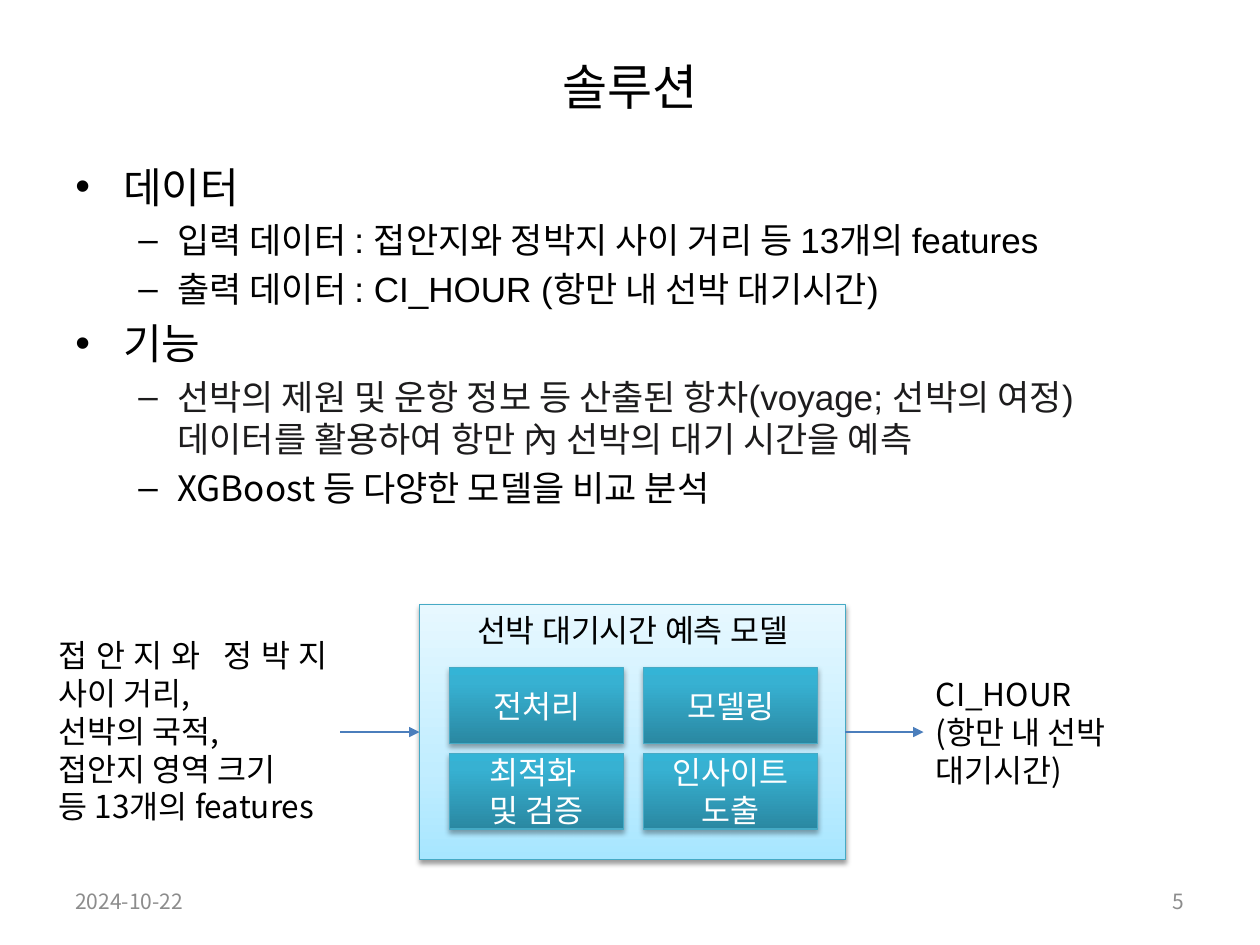
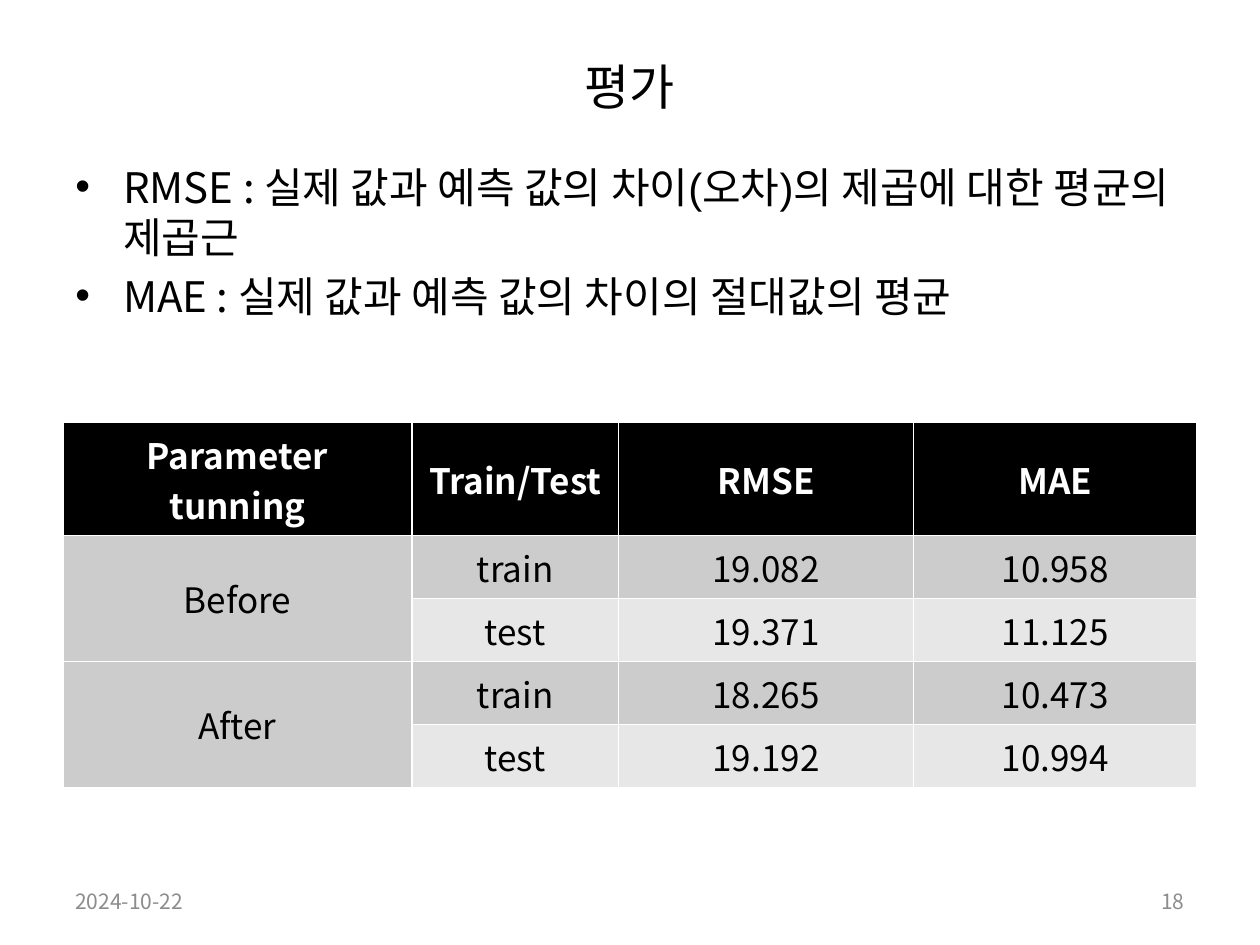
"""Build two slides on predicting ship waiting time in port."""
from typing import NamedTuple

from pptx import Presentation
from pptx import util as u
from pptx.dml.color import RGBColor
from pptx.enum import shapes, text
from pptx.oxml import ns
from lxml import etree

SANS, LATIN = "Noto Sans CJK KR", "Arial"
BLACK, WHITE = RGBColor(0, 0, 0), RGBColor(255, 255, 255)
INK = RGBColor(0x1D, 0x1C, 0x1D)
FOOTER_GREY = RGBColor(0x8C, 0x8C, 0x8C)
TEAL_EDGE = RGBColor(0x46, 0xAA, 0xC5)
ARROW_BLUE = RGBColor(0x4B, 0x7E, 0xBC)
CELL_DARK, CELL_LIGHT = RGBColor(0xCC, 0xCC, 0xCC), RGBColor(0xE7, 0xE7, 0xE7)
PALE_GRADIENT = ((0, RGBColor(0xA7, 0xE6, 0xFF)), (35, RGBColor(0xC1, 0xED, 0xFF)),
                 (100, RGBColor(0xE7, 0xF8, 0xFF)))
TEAL_GRADIENT = ((0, RGBColor(0x2A, 0x88, 0xA2)), (80, RGBColor(0x37, 0xB1, 0xD2)),
                 (100, RGBColor(0x34, 0xB4, 0xD6)))
LEFT, CENTER, RIGHT, JUSTIFY = (text.PP_ALIGN.LEFT, text.PP_ALIGN.CENTER,
                                text.PP_ALIGN.RIGHT, text.PP_ALIGN.JUSTIFY)
TOP, MIDDLE = text.MSO_ANCHOR.TOP, text.MSO_ANCHOR.MIDDLE
DATE = "2024-10-22"
FLOW_Y = 5.81


class Box(NamedTuple):
    """Place and size in inches."""
    x: float
    y: float
    w: float
    h: float

    def lengths(self) -> list:
        """Return the four values as lengths."""
        return [u.Inches(v) for v in self]


class Run(NamedTuple):
    """Piece of text in one font."""
    words: str
    font: str = LATIN


class Bullet(NamedTuple):
    """Bulleted paragraph."""
    runs: tuple
    level: int = 0
    color: RGBColor = BLACK


class Level(NamedTuple):
    """Look of one bullet level."""
    size: int
    margin: float
    hang: float
    mark: str


class Panel(NamedTuple):
    """Gradient rectangle with a label."""
    box: Box
    lines: tuple
    stops: tuple
    color: RGBColor
    anchor: text.MSO_ANCHOR
    shadow_alpha: int
    shadow_distance: float


LEVELS = (Level(24, 0.38, 0.38, "•"), Level(20, 0.81, 0.31, "–"))


def sub(parent, tag: str, **attrs):
    """Append a drawing element and return it."""
    return etree.SubElement(parent, ns.qn(tag), {k: str(v) for k, v in attrs.items()})


def write(p, words: str, *, size: int = 18, font: str = SANS, color: RGBColor = BLACK,
          bold: bool = False, align=None) -> None:
    """Add a formatted run to a paragraph."""
    if align is not None:
        p.alignment = align
    r = p.add_run()
    r.text = words
    r.font.size, r.font.name, r.font.bold = u.Pt(size), font, bold
    r.font.color.rgb = color
    sub(r._r.get_or_add_rPr(), "a:ea", typeface=SANS)


def paragraphs(tf, count: int) -> list:
    """Return the first paragraph of a frame and as many new ones as needed."""
    return [tf.paragraphs[0]] + [tf.add_paragraph() for _ in range(count - 1)]


def add_lines(tf, lines, aligns, anchor=TOP, **fmt) -> None:
    """Fill a text frame, one paragraph a line."""
    tf.word_wrap, tf.vertical_anchor = True, anchor
    for p, words, align in zip(paragraphs(tf, len(lines)), lines, aligns):
        write(p, words, align=align, **fmt)


def add_text(s, box: Box, lines, aligns, anchor=TOP, **fmt) -> None:
    """Add a text box."""
    tf = s.shapes.add_textbox(*box.lengths()).text_frame
    add_lines(tf, lines, aligns, anchor, **fmt)


def add_bullets(s, bullets) -> None:
    """Add the bulleted body of a slide."""
    tf = s.shapes.add_textbox(*Box(0.5, 1.23, 9, 5.47).lengths()).text_frame
    tf.word_wrap = True
    for p, b in zip(paragraphs(tf, len(bullets)), bullets):
        level = LEVELS[b.level]
        p.level, p.space_before = b.level, u.Pt(level.size * 0.2)
        pPr = p._p.get_or_add_pPr()
        pPr.set("marL", str(u.Inches(level.margin)))
        pPr.set("indent", str(-u.Inches(level.hang)))
        sub(pPr, "a:buFont", typeface=LATIN)
        sub(pPr, "a:buChar", char=level.mark)
        for run in b.runs:
            write(p, run.words, size=level.size, font=run.font, color=b.color)


def add_panel(s, panel: Panel) -> None:
    """Add a gradient rectangle with a soft shadow."""
    sp = s.shapes.add_shape(shapes.MSO_SHAPE.RECTANGLE, *panel.box.lengths())
    sp.line.color.rgb, sp.line.width = TEAL_EDGE, u.Pt(0.75)
    sp.fill.gradient()
    sp.fill.gradient_angle = 90
    sp.shadow.inherit = False
    spPr = sp._element.spPr
    stops = spPr.find(ns.qn("a:gradFill")).find(ns.qn("a:gsLst"))
    for stop in list(stops):
        stops.remove(stop)
    for place, color in panel.stops:
        sub(sub(stops, "a:gs", pos=place * 1000), "a:srgbClr", val=color)
    shadow = sub(spPr.find(ns.qn("a:effectLst")), "a:outerShdw", blurRad=u.Pt(3.1),
                 dist=u.Pt(panel.shadow_distance), dir=90 * 60000, rotWithShape=0)
    sub(sub(shadow, "a:srgbClr", val=BLACK), "a:alpha", val=panel.shadow_alpha * 1000)
    add_lines(sp.text_frame, panel.lines, [CENTER] * len(panel.lines), panel.anchor,
              color=panel.color)


def add_arrow(s, x1: float, x2: float) -> None:
    """Add a horizontal arrow of the flow."""
    y = u.Inches(FLOW_Y)
    line = s.shapes.add_connector(shapes.MSO_CONNECTOR.STRAIGHT, u.Inches(x1), y, u.Inches(x2), y)
    line.line.color.rgb, line.line.width = ARROW_BLUE, u.Pt(0.75)
    sub(line.line._get_or_add_ln(), "a:tailEnd", type="triangle")
    sub(line._element.spPr, "a:effectLst")


def add_slide(prs, title: str, number: int, bullets):
    """Add a slide with title, body, date and number."""
    s = prs.slides.add_slide(prs.slide_layouts[5])
    sp = s.shapes.title
    sp.left, sp.top, sp.width, sp.height = Box(0.5, 0.3, 9, 0.77).lengths()
    add_lines(sp.text_frame, [title], [CENTER], MIDDLE, size=28)
    add_bullets(s, bullets)
    for x, words, align in ((0.5, DATE, LEFT), (7.17, str(number), RIGHT)):
        add_text(s, Box(x, 6.95, 2.33, 0.4), [words], [align], MIDDLE,
                 size=12, color=FOOTER_GREY)
    return s


def add_solution(prs) -> None:
    """Add the slide on data, functions and the model flow."""
    s = add_slide(prs, "솔루션", 5, (
        Bullet((Run("데이터"),)),
        Bullet((Run("입력 데이터 : 접안지와 정박지 사이 거리 등 13개의 features"),), 1),
        Bullet((Run("출력 데이터 : CI_HOUR (항만 내 선박 대기시간)"),), 1),
        Bullet((Run("기능"),)),
        Bullet((Run("선박의 제원 및 운항 정보 등 산출된 항차(voyage; 선박의 여정) "
                    "데이터를 활용하여 항만 內 선박의 대기 시간을 예측"),), 1, INK),
        Bullet((Run("XGBoost 등 다양한 모델을 비교 분석", SANS),), 1)))
    add_panel(s, Panel(Box(3.33, 4.8, 3.38, 2.02), ("선박 대기시간 예측 모델",),
                       PALE_GRADIENT, BLACK, TOP, 38, 1.6))
    add_text(s, Box(0.37, 5, 2.33, 1.62),
             ("접안지와 정박지 사이 거리, ", "선박의 국적, ", "접안지 영역 크기",
              "등 13개의 features"), (JUSTIFY, JUSTIFY, JUSTIFY, LEFT))
    add_text(s, Box(7.33, 5.31, 2.33, 1.01), ("CI_HOUR", "(항만 내 선박 대기시간)"), (LEFT, LEFT))
    add_arrow(s, 2.7, 3.33)
    add_arrow(s, 6.71, 7.33)
    steps = (("전처리",), ("모델링",), ("최적화 ", "및 검증"), ("인사이트 도출",))
    for i, lines in enumerate(steps):
        row, col = divmod(i, 2)
        add_panel(s, Panel(Box(3.57 + 1.54 * col, 5.3 + 0.68 * row, 1.38, 0.6), lines,
                           TEAL_GRADIENT, WHITE, MIDDLE, 35, 1.8))


def add_evaluation(prs) -> None:
    """Add the slide with the error measures and their table."""
    s = add_slide(prs, "평가", 18, (
        Bullet((Run("RMSE : ", SANS),
                Run("실제 값과 예측 값의 차이(오차)의 제곱에 대한 평균의 제곱근"))),
        Bullet((Run("MAE : ", SANS), Run("실제 값과 예측 값의 차이의 절대값의 평균")))))
    rows = (("Parameter tunning", "Train/Test", "RMSE", "MAE"),
            ("Before", "train", "19.082", "10.958"),
            ("", "test", "19.371", "11.125"),
            ("After", "train", "18.265", "10.473"),
            ("", "test", "19.192", "10.994"))
    table = s.shapes.add_table(len(rows), 4, *Box(0.5, 3.35, 9, 2.9).lengths()).table
    for column, width in zip(table.columns, (2.77, 1.64, 2.34, 2.25)):
        column.width = u.Inches(width)
    for i, row in enumerate(rows):
        table.rows[i].height = u.Inches(0.5 if i else 0.9)
        for j, words in enumerate(row):
            cell = table.cell(i, j)
            cell.fill.solid()
            cell.fill.fore_color.rgb = (BLACK if i == 0 else
                                        CELL_DARK if i % 2 or j == 0 else CELL_LIGHT)
            cell.vertical_anchor = MIDDLE
            if words:
                write(cell.text_frame.paragraphs[0], words, size=20, bold=i == 0,
                      color=BLACK if i else WHITE, align=CENTER)
    for i in (1, 3):
        table.cell(i, 0).merge(table.cell(i + 1, 0))


def main() -> None:
    """Build and save the presentation."""
    prs = Presentation()
    prs.slide_width, prs.slide_height = u.Inches(10), u.Inches(7.5)
    add_solution(prs)
    add_evaluation(prs)
    prs.save("out.pptx")


if __name__ == "__main__":
    main()
